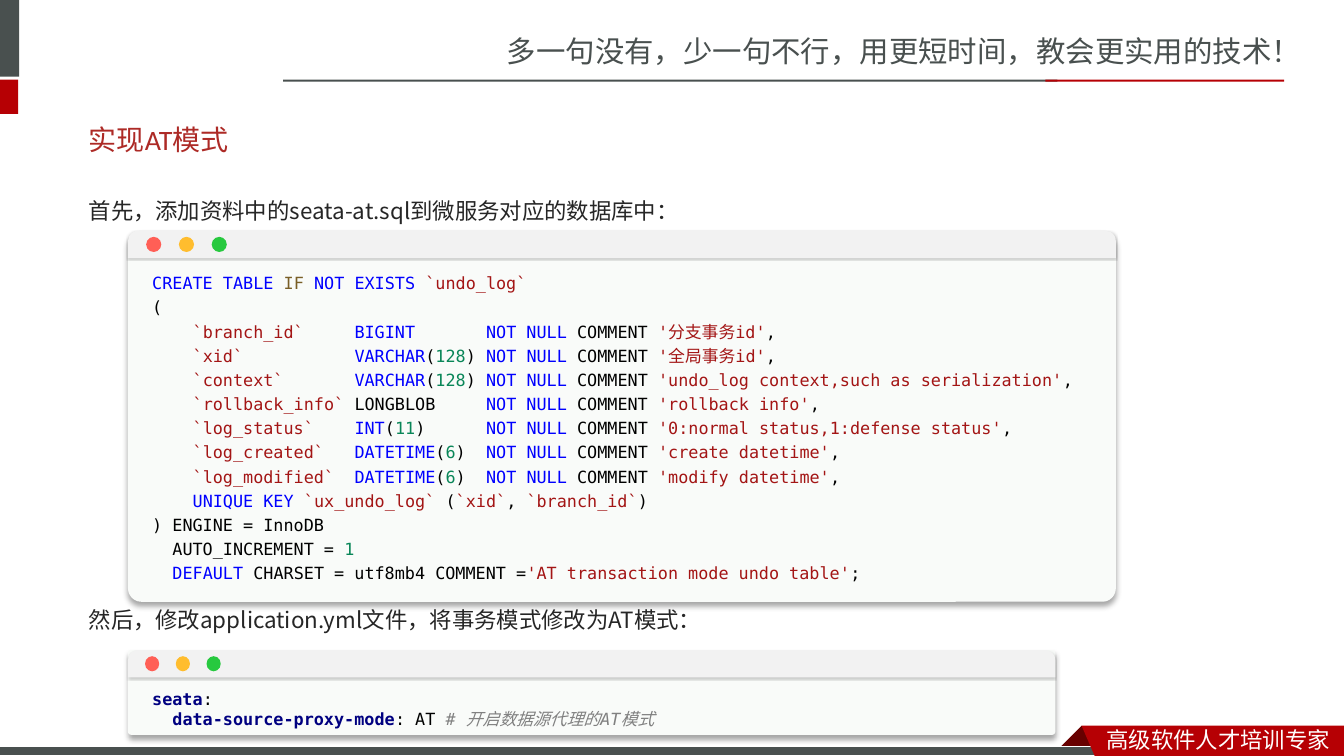
from lxml import etree
from pptx import Presentation
from pptx import util as u
from pptx.dml.color import RGBColor
from pptx.enum import shapes, text
from pptx.oxml import ns

COLUMNS, ROWS = 160, 90
GREY, RED, WHITE = "49504F", "B60004", "FFFFFF"
CJK, MONO = "Noto Sans CJK SC", "DejaVu Sans Mono"
DOT_COLOURS = ("FF5F56", "FFBD2E", "27C93F")

# Code styles: colour, bold, italic, font
CODE_STYLES = {
    "keyword": ("0000FF", False, False, MONO),
    "function": ("795E26", False, False, MONO),
    "string": ("A31515", False, False, MONO),
    "number": ("098658", False, False, MONO),
    "plain": ("000000", False, False, MONO),
    "key": ("000080", True, False, MONO),
    "comment": ("808080", False, True, MONO),
    "note": ("808080", False, True, "Courier New"),
}

# Table columns: name, type, length, comment
UNDO_LOG = (
    ("branch_id", "BIGINT", "", "分支事务id"),
    ("xid", "VARCHAR", "128", "全局事务id"),
    ("context", "VARCHAR", "128", "undo_log context,such as serialization"),
    ("rollback_info", "LONGBLOB", "", "rollback info"),
    ("log_status", "INT", "11", "0:normal status,1:defense status"),
    ("log_created", "DATETIME", "6", "create datetime"),
    ("log_modified", "DATETIME", "6", "modify datetime"),
)


def rgb(colour):
    return RGBColor.from_string(colour)


def column_line(name, kind, length, comment):
    """Return the code spans of one column definition, padded into line."""
    spans = [("    ", "plain"), (f"`{name}`".ljust(16), "string")]
    spans.append((kind, "plain" if kind == "LONGBLOB" else "keyword"))
    used = len(kind)
    if length:
        spans += [("(", "plain"), (length, "number"), (")", "plain")]
        used += len(length) + 2
    return spans + [
        (" " * (13 - used), "plain"), ("NOT NULL", "keyword"),
        (" COMMENT ", "plain"), (f"'{comment}'", "string"), (",", "plain"),
    ]


SQL = [
    [("CREATE TABLE ", "keyword"), ("IF ", "function"),
     ("NOT EXISTS ", "keyword"), ("`undo_log`", "string")],
    [("(", "plain")],
    *[column_line(*column) for column in UNDO_LOG],
    [("    ", "plain"), ("UNIQUE KEY ", "keyword"), ("`ux_undo_log`", "string"),
     (" (", "plain"), ("`xid`", "string"), (", ", "plain"),
     ("`branch_id`", "string"), (")", "plain")],
    [(") ENGINE = InnoDB", "plain")],
    [("  AUTO_INCREMENT = ", "plain"), ("1", "number")],
    [("  ", "plain"), ("DEFAULT", "keyword"),
     (" CHARSET = utf8mb4 COMMENT =", "plain"),
     ("'AT transaction mode undo table'", "string"), (";", "plain")],
]
YAML = [
    [("seata", "key"), (":", "plain")],
    [("  ", "plain"), ("data-source-proxy-mode", "key"), (": AT ", "plain"),
     ("# ", "comment"), ("开启数据源代理的", "note"), ("AT", "comment"),
     ("模式", "note")],
]


class SlideBuilder:
    """Draws on one slide; lengths are columns and rows of a 160 x 90 grid."""

    def __init__(self, deck):
        self.column = deck.slide_width / COLUMNS
        self.row = deck.slide_height / ROWS
        self.page = deck.slides.add_slide(deck.slide_layouts[1])
        self.canvas = self.page.shapes

    def point(self, across, down):
        return u.Emu(round(across * self.column)), u.Emu(round(down * self.row))

    def area(self, left, top, width, height):
        return self.point(left, top) + self.point(width, height)

    def paint(self, shape, fill, line=None):
        shape.shadow.inherit = False
        shape.fill.solid()
        shape.fill.fore_color.rgb = rgb(fill)
        if line:
            shape.line.color.rgb = rgb(line)
            shape.line.width = u.Pt(0.75)
        else:
            shape.line.fill.background()
        return shape

    def shape(self, kind, area, fill, line=None):
        return self.paint(self.canvas.add_shape(kind, *self.area(*area)), fill, line)

    def outline(self, corners, fill):
        start, *others = [self.point(*corner) for corner in corners]
        builder = self.canvas.build_freeform(*start)
        builder.add_line_segments(others, close=True)
        return self.paint(builder.convert_to_shape(), fill)

    def shadow(self, shape, alpha, blur, distance):
        """Cast a black shadow straight down; alpha in percent, lengths in points."""
        effects = shape._element.spPr.find(ns.qn("a:effectLst"))
        outer = etree.SubElement(
            effects, ns.qn("a:outerShdw"), blurRad=str(u.Pt(blur)),
            dist=str(u.Pt(distance)), dir="5400000", algn="t", rotWithShape="0")
        colour = etree.SubElement(outer, ns.qn("a:srgbClr"), val="000000")
        etree.SubElement(colour, ns.qn("a:alpha"), val=str(alpha * 1000))

    def style(self, span, size, colour, font, bold=False, italic=False):
        span.font.size = u.Pt(size)
        span.font.color.rgb = rgb(colour)
        span.font.name = font
        span.font.bold, span.font.italic = bold, italic
        etree.SubElement(span._r.get_or_add_rPr(), ns.qn("a:ea"), typeface=font)

    def label(self, area, words, size, colour):
        box = self.canvas.add_textbox(*self.area(*area))
        box.text_frame.word_wrap = True
        box.text_frame.text = words
        self.style(box.text_frame.paragraphs[0].runs[0], size, colour, CJK)

    def placeholder(self, index, area, lines, size, colour, font, gap=0):
        """Fill a template placeholder with unbulleted lines, gap points apart."""
        box = self.page.placeholders[index]
        box.left, box.top, box.width, box.height = self.area(*area)
        frame = box.text_frame
        frame.auto_size = text.MSO_AUTO_SIZE.NONE
        frame.text = "\n".join(lines)
        for number, para in enumerate(frame.paragraphs):
            properties = para._p.get_or_add_pPr()
            properties.set("marL", "0")
            properties.set("indent", "0")
            etree.SubElement(properties, ns.qn("a:buNone"))
            para.alignment = text.PP_ALIGN.LEFT
            para.line_spacing = 1.0
            para.space_before = u.Pt(gap if number else 0)
            self.style(para.runs[0], size, colour, font)
        return frame

    def code(self, area, lines, spacing):
        box = self.canvas.add_textbox(*self.area(*area))
        frame = box.text_frame
        frame.word_wrap = True
        frame.margin_left = frame.margin_right = u.Inches(0.24)
        for number, line in enumerate(lines):
            para = frame.add_paragraph() if number else frame.paragraphs[0]
            para.line_spacing = spacing
            for words, name in line:
                span = para.add_run()
                span.text = words
                colour, bold, italic, font = CODE_STYLES[name]
                self.style(span, 12, colour, font, bold, italic)

    def window(self, top, width, height, code_size, lines, spacing):
        """Draw a grouped code window with a title bar and three buttons."""
        left, kind = 15.24, shapes.MSO_SHAPE
        self.canvas = self.page.shapes.add_group_shape().shapes
        panel = self.shape(kind.ROUNDED_RECTANGLE, (left, top, width, height), "F9FBF9")
        panel.adjustments[0] = 0.036
        self.shadow(panel, 34, 4, 3)
        self.code((left, top + 3.96, *code_size), lines, spacing)
        bar = self.shape(kind.ROUND_2_SAME_RECTANGLE, (left, top, width, 3.24), "F2F2F2")
        bar.adjustments[0], bar.adjustments[1] = 0.37, 0
        self.shadow(bar, 20, 1, 1)
        stretch = width / 117.6
        for number, colour in enumerate(DOT_COLOURS):
            dot_left = left + (2.16 + 3.9 * number) * stretch
            self.shape(kind.OVAL, (dot_left, top + 0.72, 1.8 * stretch, 1.8), colour)
        self.canvas = self.page.shapes


def main():
    deck = Presentation()
    deck.slide_width, deck.slide_height = u.Inches(13.33), u.Inches(7.5)
    slide = SlideBuilder(deck)
    block = shapes.MSO_SHAPE.RECTANGLE

    slide.label((59.16, 3.36, 100.84, 5.64),
                "多一句没有，少一句不行，用更短时间，教会更实用的技术！", 21, GREY)
    for area, colour in (
        ((0, 0, 2.28, 9.12), GREY), ((0, 9.48, 2.16, 4.08), RED),
        ((33.72, 9.48, 92.16, 0.24), GREY), ((124.44, 9.48, 28.44, 0.24), RED),
    ):
        slide.shape(block, area, colour)
    slide.outline([(128.76, 86.4), (131.4, 89.04), (131.28, 89.16),
                   (126.24, 89.16), (126.12, 89.04)], "680000")
    slide.shape(block, (0, 88.92, 131.9, 1.08), GREY, WHITE)
    slide.outline([(128.76, 86.4), (160, 86.4), (160, 90), (130.32, 90)], RED)
    slide.label((130.56, 85.8, 29.4, 4.2), "高级软件人才培训专家", 16, WHITE)

    title = slide.placeholder(0, (9.36, 13.92, 140.4, 5.28), ["实现AT模式"],
                              20, "AD2A26", "Calibri")
    title.vertical_anchor = text.MSO_ANCHOR.MIDDLE
    steps = slide.placeholder(
        1, (9.36, 21.36, 140.4, 50.64),
        ["首先，添加资料中的seata-at.sql到微服务对应的数据库中：",
         "然后，修改application.yml文件，将事务模式修改为AT模式："],
        16, "262626", "Noto Sans CJK JP", gap=272.5)
    steps.margin_top = u.Inches(0.18)

    slide.window(27.48, 117.6, 44.16, (115.8, 38.76), SQL, 1.2)
    slide.window(77.4, 110.4, 10.08, (85.56, 6), YAML, 1.0)
    deck.save("out.pptx")


if __name__ == "__main__":
    main()
